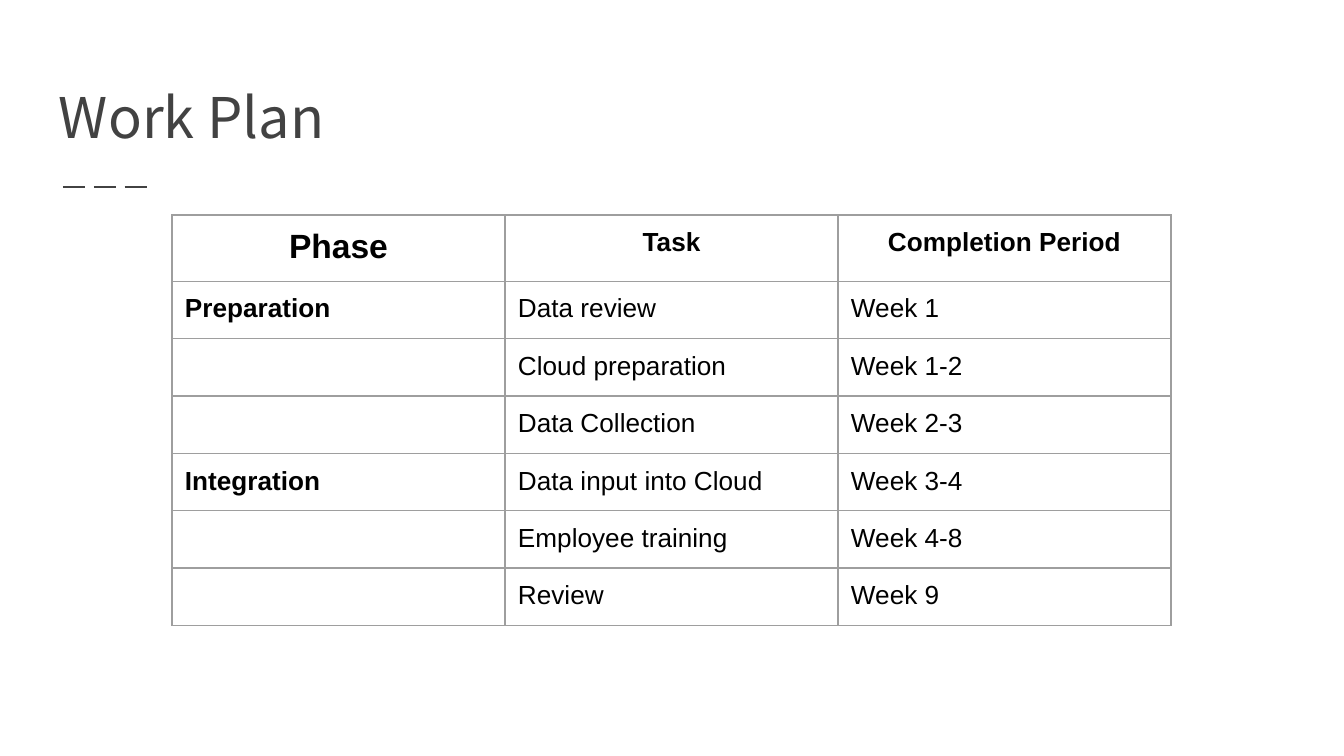
from lxml.etree import SubElement
from pptx import Presentation
from pptx.dml.color import RGBColor
from pptx.enum.dml import MSO_LINE_DASH_STYLE as Dash
from pptx.enum.shapes import MSO_CONNECTOR as Connector
from pptx.enum.text import MSO_ANCHOR as Anchor, PP_ALIGN as Align
from pptx.oxml.ns import qn
from pptx.util import Pt

TITLE = "Work Plan"
HEADERS = [("Phase", 18), ("Task", 14), ("Completion Period", 14)]
ROWS = [
    ("Preparation", "Data review", "Week 1"),
    ("", "Cloud preparation", "Week 1-2"),
    ("", "Data Collection", "Week 2-3"),
    ("Integration", "Data input into Cloud", "Week 3-4"),
    ("", "Employee training", "Week 4-8"),
    ("", "Review", "Week 9"),
]
COLORS = {"title": "424242", "text": "000000", "border": "9E9E9E"}
FONTS = {"title": "Noto Sans CJK SC", "table": "Arial"}
COLUMN_WIDTH, HEADER_HEIGHT, ROW_HEIGHT, INSET = 333, 65, 56, 13


def px(value):
    return round(value * 914400 / 134.4)


def style_font(font, name, size, color, bold=False):
    font.name, font.size, font.bold = name, Pt(size), bold
    font.color.rgb = RGBColor.from_string(COLORS[color])


def set_insets(frame):
    frame.margin_left = frame.margin_right = px(INSET)
    frame.margin_top = frame.margin_bottom = px(INSET)


def add_borders(cell):
    properties = cell._tc.get_or_add_tcPr()
    for position, side in enumerate(("lnL", "lnR", "lnT", "lnB")):
        line = properties.makeelement(qn(f"a:{side}"), {"w": str(Pt(0.75))})
        fill = SubElement(line, qn("a:solidFill"))
        SubElement(fill, qn("a:srgbClr"), val=COLORS["border"])
        properties.insert(position, line)


def fill_cell(cell, text, size, bold, alignment):
    cell.text = text
    set_insets(cell)
    cell.fill.background()
    add_borders(cell)
    paragraph = cell.text_frame.paragraphs[0]
    paragraph.alignment = alignment
    style_font(paragraph.font, FONTS["table"], size, "text", bold)
    if not text:
        SubElement(paragraph._p, qn("a:endParaRPr"), sz=str(size * 100))


def add_title(slide):
    box = slide.shapes.add_textbox(px(46), px(55), px(1252), px(108))
    frame = box.text_frame
    frame.word_wrap = True
    frame.vertical_anchor = Anchor.BOTTOM
    set_insets(frame)
    paragraph = frame.paragraphs[0]
    paragraph.text = TITLE
    style_font(paragraph.font, FONTS["title"], 30, "title")


def add_dashes(slide):
    line = slide.shapes.add_connector(Connector.STRAIGHT, px(63), px(187), px(153), px(187))
    line.line.color.rgb = RGBColor.from_string(COLORS["title"])
    line.line.width = Pt(1.5)
    line.line.dash_style = Dash.LONG_DASH
    SubElement(line._element.spPr, qn("a:effectLst"))


def add_plan(slide):
    width = COLUMN_WIDTH * len(HEADERS)
    height = HEADER_HEIGHT + ROW_HEIGHT * len(ROWS)
    table = slide.shapes.add_table(
        len(ROWS) + 1, len(HEADERS), px(172), px(215), px(width), px(height)
    ).table
    table.first_row = table.horz_banding = False
    for column in table.columns:
        column.width = px(COLUMN_WIDTH)
    for index, row in enumerate(table.rows):
        row.height = px(ROW_HEIGHT if index else HEADER_HEIGHT)
    for column, (text, size) in enumerate(HEADERS):
        fill_cell(table.cell(0, column), text, size, True, Align.CENTER)
    for row, texts in enumerate(ROWS, 1):
        for column, text in enumerate(texts):
            fill_cell(table.cell(row, column), text, 14, column == 0, Align.LEFT)


def main():
    presentation = Presentation()
    presentation.slide_width, presentation.slide_height = px(1344), px(756)
    slide = presentation.slides.add_slide(presentation.slide_layouts[6])
    add_dashes(slide)
    add_title(slide)
    add_plan(slide)
    presentation.save("out.pptx")


if __name__ == "__main__":
    main()
